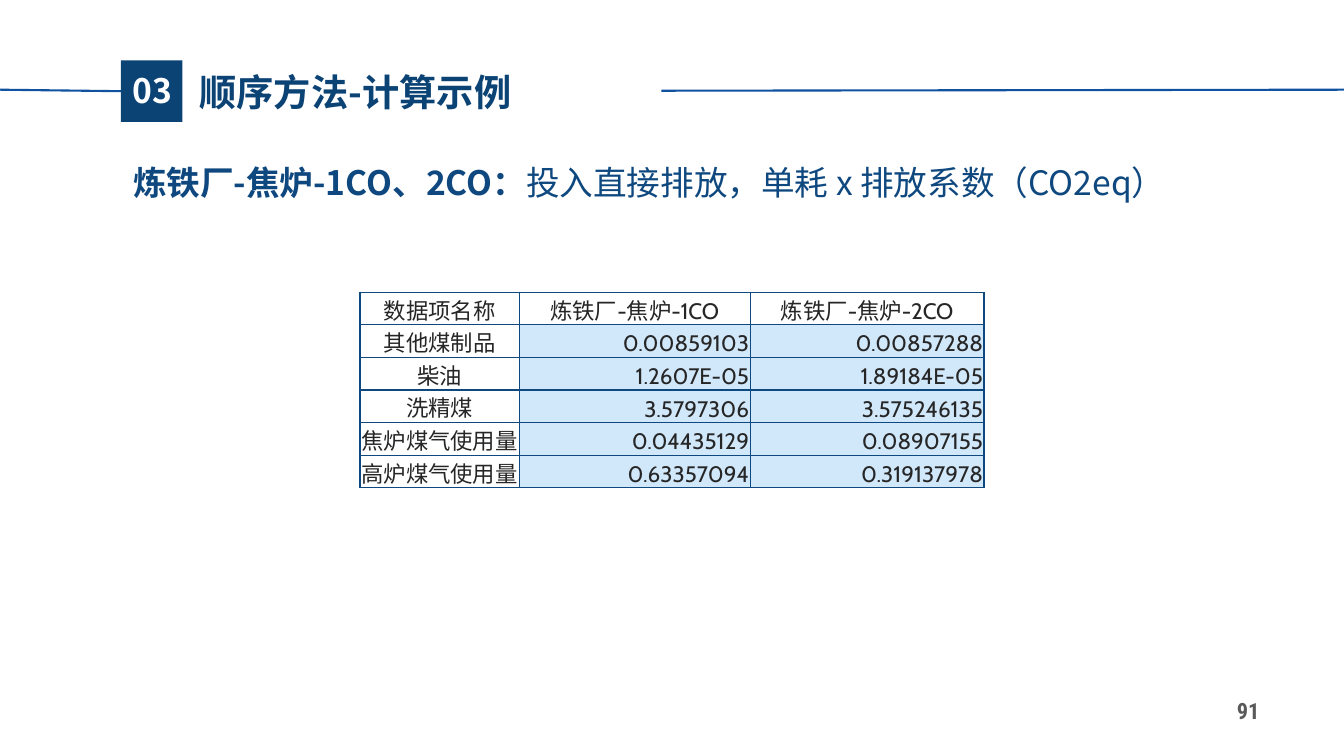
import pptx
import pptx.util
import pptx.dml.color
import pptx.enum.shapes
import pptx.enum.text
import lxml.etree
from pptx.util import Inches

RGBColor = pptx.dml.color.RGBColor
ALIGN = pptx.enum.text.PP_ALIGN
ANCHOR = pptx.enum.text.MSO_ANCHOR
NAVY = RGBColor(0x0C, 0x43, 0x75)
BODY_BLUE = RGBColor(0x0E, 0x48, 0x7F)
LINE_BLUE = RGBColor(0x10, 0x52, 0xA0)
PALE_BLUE = RGBColor(0xD1, 0xE7, 0xFA)
WHITE = RGBColor(0xFF, 0xFF, 0xFF)
GREY = RGBColor(0x59, 0x59, 0x59)
DARK = RGBColor(0x26, 0x26, 0x26)
CJK = "Noto Sans CJK SC"
A = "{http://schemas.openxmlformats.org/drawingml/2006/main}"


def add_run(p, text, size, color, bold, font=CJK):
    r = p.add_run()
    r.text = text
    r.font.color.rgb = color
    for name, value in {"size": pptx.util.Pt(size), "bold": bold, "name": font}.items():
        setattr(r.font, name, value)
    lxml.etree.SubElement(r.font._element, A + "ea", typeface=CJK)


def add_text(box, runs, align, **frame):
    tf = s.shapes.add_textbox(*map(Inches, box)).text_frame
    tf.word_wrap = True
    for name, value in frame.items():
        setattr(tf, name, value)
    p = tf.paragraphs[0]
    p.alignment = align
    for run in runs:
        add_run(p, *run)
    return p


prs = pptx.Presentation()
prs.slide_width, prs.slide_height = Inches(13.33), Inches(7.5)
s = prs.slides.add_slide(prs.slide_layouts[6])

add_text((12.07, 6.87, 0.62, 0.36), [("91", 16, GREY, True, "Roboto Condensed")],
         ALIGN.CENTER, vertical_anchor=ANCHOR.MIDDLE)

rules = []
for x1, y1, x2, y2 in [(0, 0.89, 1.2, 0.9), (6.56, 0.9, 13.33, 0.89)]:
    rule = s.shapes.add_connector(pptx.enum.shapes.MSO_CONNECTOR.STRAIGHT,
                                  *map(Inches, (x1, y1, x2, y2)))
    rule.line.color.rgb = LINE_BLUE
    rule.line.width = pptx.util.Pt(1.5)
    lxml.etree.SubElement(rule._element.spPr, A + "effectLst")
    rules.append(rule)

badge = s.shapes.add_shape(pptx.enum.shapes.MSO_SHAPE.RECTANGLE,
                           *map(Inches, (1.2, 0.6, 0.61, 0.61)))
badge.shadow.inherit = False
badge.fill.solid()
badge.fill.fore_color.rgb = NAVY
badge.line.fill.background()
rules[0].end_connect(badge, 1)

add_text((1.88, 0.63, 3.8, 0.55), [("顺序方法-计算示例", 26.6, NAVY, True)],
         ALIGN.LEFT, vertical_anchor=ANCHOR.MIDDLE)
add_text((1.19, 0.64, 0.64, 0.5), [("03", 24, WHITE, True)],
         ALIGN.CENTER, vertical_anchor=ANCHOR.MIDDLE)
p = add_text((1.19, 1.34, 10.85, 0.67),
             [("炼铁厂-焦炉-1CO、2CO：", 24, BODY_BLUE, True),
              ("投入直接排放，单耗 x 排放系数（CO2eq）", 24, BODY_BLUE, False)],
             ALIGN.LEFT, margin_left=Inches(0.13), margin_right=Inches(0.13),
             margin_top=Inches(0.07), margin_bottom=Inches(0.07))
p.line_spacing = 1.5

rows = [
    ("数据项名称", "炼铁厂-焦炉-1CO", "炼铁厂-焦炉-2CO"),
    ("其他煤制品", "0.00859103", "0.00857288"),
    ("柴油", "1.2607E-05", "1.89184E-05"),
    ("洗精煤", "3.5797306", "3.575246135"),
    ("焦炉煤气使用量", "0.04435129", "0.08907155"),
    ("高炉煤气使用量", "0.63357094", "0.319137978"),
]
table = s.shapes.add_table(len(rows), 3, *map(Inches, (3.57, 2.9, 6.2, 1.94))).table
for col, width in zip(table.columns, (1.58, 2.29, 2.32)):
    col.width = Inches(width)
margins = {"margin_left": 0.01, "margin_right": 0.01, "margin_top": 0.01, "margin_bottom": 0}
for i, row in enumerate(rows):
    for j, text in enumerate(row):
        cell = table.cell(i, j)
        is_value = i > 0 and j > 0
        for name, value in margins.items():
            setattr(cell, name, Inches(value))
        cell.vertical_anchor = ANCHOR.BOTTOM if is_value else ANCHOR.TOP
        p = cell.text_frame.paragraphs[0]
        p.alignment = ALIGN.RIGHT if is_value else ALIGN.CENTER
        add_run(p, text, 16, DARK, False, "Cabin")
        tcPr = cell._tc.get_or_add_tcPr()
        for side in ("lnL", "lnR", "lnT", "lnB"):
            ln = lxml.etree.SubElement(tcPr, A + side, w="12700")
            fill = lxml.etree.SubElement(ln, A + "solidFill")
            lxml.etree.SubElement(fill, A + "srgbClr", val=str(BODY_BLUE))
        cell.fill.solid()
        cell.fill.fore_color.rgb = PALE_BLUE if is_value else WHITE

prs.save("out.pptx")
